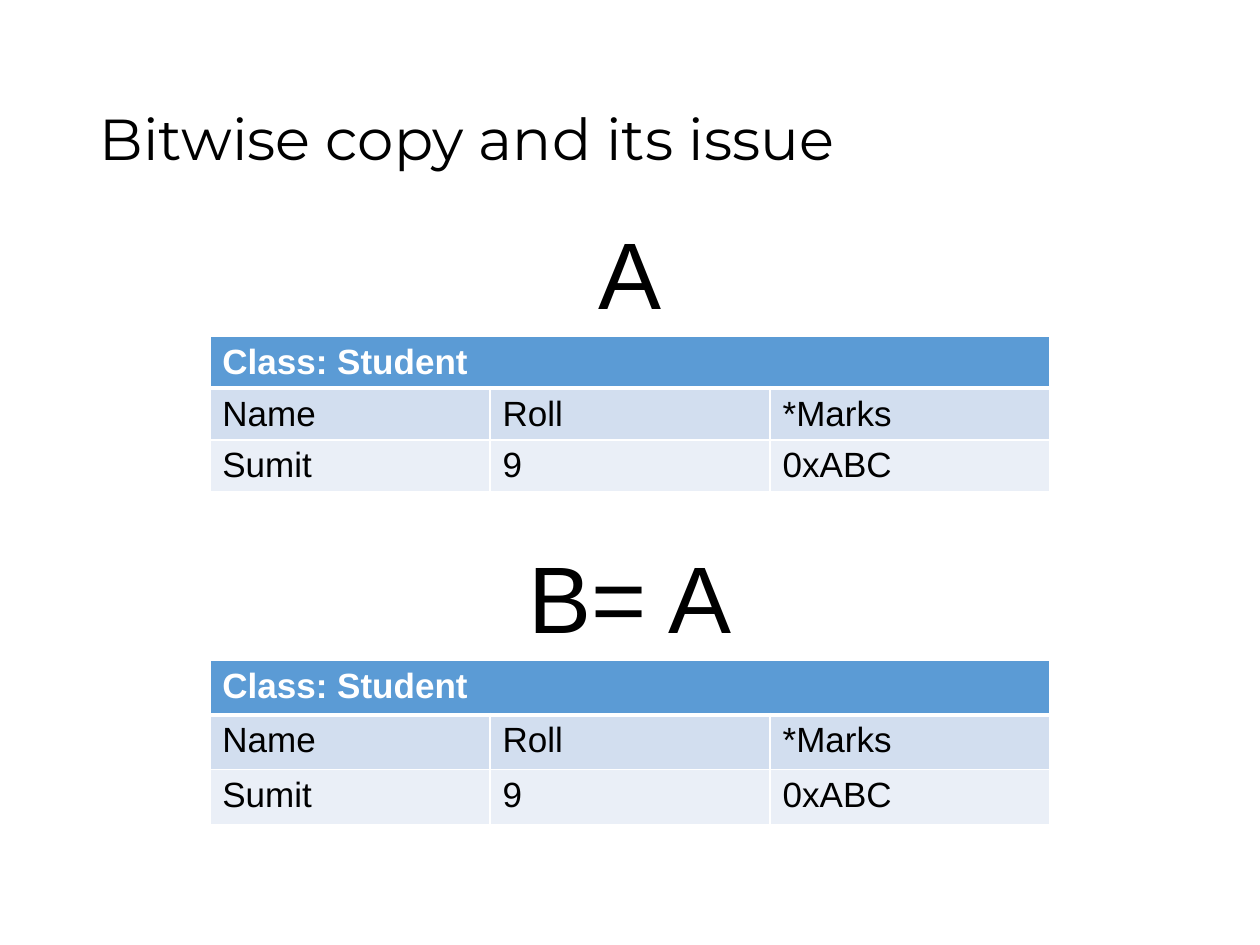
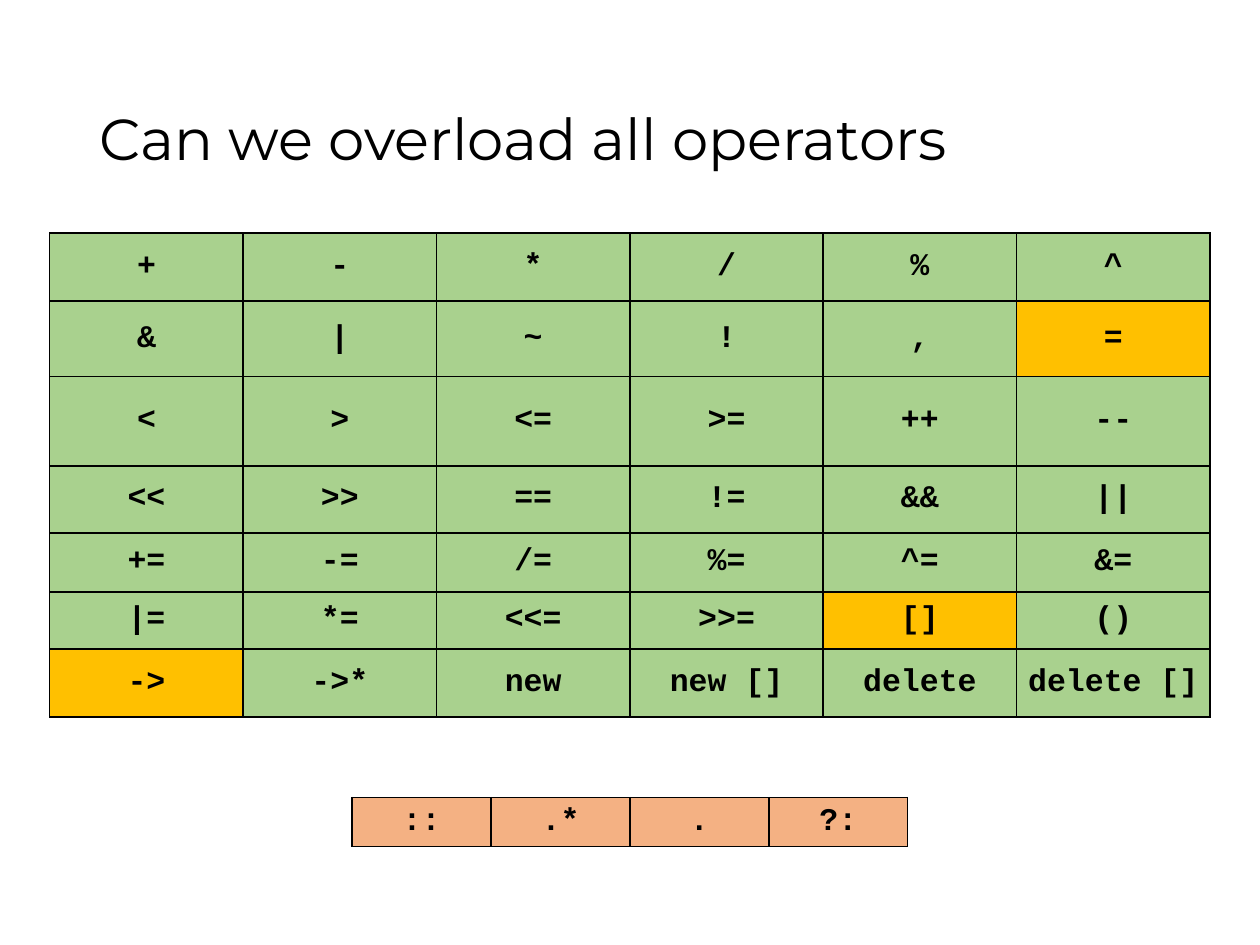
from dataclasses import dataclass

from lxml.etree import SubElement
from pptx import Presentation
from pptx.dml.color import RGBColor
from pptx.enum.text import MSO_ANCHOR, MSO_AUTO_SIZE, PP_ALIGN
from pptx.oxml.ns import qn
from pptx.util import Inches, Pt


@dataclass(frozen=True)
class Theme:
    ink: str = "000000"
    paper: str = "FFFFFF"
    header: str = "5B9BD5"
    field: str = "D2DEEF"
    record: str = "EAEFF7"
    overloadable: str = "A9D18E"
    member_only: str = "FFC000"
    forbidden: str = "F4B183"
    heading_font: str = "Montserrat"
    body_font: str = "Arial"
    code_font: str = "Courier New"
    heading_size: int = 33
    label_size: int = 54
    student_size: int = 20
    code_size: int = 18


THEME = Theme()
WIDTH, HEIGHT = Inches(10), Inches(7.5)
GRID_COLUMNS, GRID_ROWS = 100, 75

STUDENT = [["Class: Student", "", ""], ["Name", "Roll", "*Marks"], ["Sumit", "9", "0xABC"]]
OPERATORS = [
    ["+", "-", "*", "/", "%", "^"],
    ["&", "|", "~", "!", ",", "="],
    ["<", ">", "<=", ">=", "++", "--"],
    ["<<", ">>", "==", "!=", "&&", "||"],
    ["+=", "-=", "/=", "%=", "^=", "&="],
    ["|=", "*=", "<<=", ">>=", "[]", "()"],
    ["->", "->*", "new", "new []", "delete", "delete []"],
]
OPERATOR_HEIGHTS = [5.4, 6, 7.1, 5.3, 4.7, 4.5, 5.4]
MEMBER_ONLY = {"=", "[]", "->"}
FORBIDDEN = [["::", ".*", ".", "?:"]]


def columns(count):
    return int(WIDTH * count / GRID_COLUMNS)


def rows(count):
    return int(HEIGHT * count / GRID_ROWS)


def centred(top, width, height):
    return columns((GRID_COLUMNS - width) / 2), rows(top), columns(width), rows(height)


def write(frame, text, font, size, color=THEME.ink, bold=False, align=PP_ALIGN.LEFT):
    frame.text = text
    paragraph = frame.paragraphs[0]
    paragraph.alignment = align
    for run in paragraph.runs:
        run.font.name = font
        run.font.size = Pt(size)
        run.font.bold = bold
        run.font.color.rgb = RGBColor.from_string(color)
    return paragraph


def add_titled_slide(deck, heading):
    slide = deck.slides.add_slide(deck.slide_layouts[5])
    title = slide.shapes.title
    title.left, title.top, title.width, title.height = centred(4, 86.2, 14.5)
    frame = title.text_frame
    frame.auto_size = MSO_AUTO_SIZE.NONE
    frame.vertical_anchor = MSO_ANCHOR.MIDDLE
    write(frame, heading, THEME.heading_font, THEME.heading_size).line_spacing = 0.9
    return slide


def add_label(slide, text, top, width):
    frame = slide.shapes.add_textbox(*centred(top, width, 10.1)).text_frame
    frame.word_wrap = False
    frame.auto_size = MSO_AUTO_SIZE.SHAPE_TO_FIT_TEXT
    write(frame, text, THEME.body_font, THEME.label_size, align=PP_ALIGN.CENTER)


def add_grid(slide, texts, top, width, heights):
    column_count = len(texts[0])
    place = centred(top, width, sum(heights))
    grid = slide.shapes.add_table(len(texts), column_count, *place).table
    grid.first_row = grid.horz_banding = False
    for column in grid.columns:
        column.width = columns(width / column_count)
    for row, height in zip(grid.rows, heights):
        row.height = rows(height)
    return grid


def paint_cell(cell, fill, border, top=1, bottom=1):
    properties = cell._tc.get_or_add_tcPr()
    for side, points in (("L", 1), ("R", 1), ("T", top), ("B", bottom)):
        line = SubElement(properties, qn(f"a:ln{side}"), w=str(Pt(points)))
        SubElement(SubElement(line, qn("a:solidFill")), qn("a:srgbClr"), val=border)
    cell.fill.solid()
    cell.fill.fore_color.rgb = RGBColor.from_string(fill)


def add_student(slide, top):
    grid = add_grid(slide, STUDENT, top, 66.7, [4.1] * 3)
    grid.cell(0, 0).merge(grid.cell(0, 2))
    fills = [THEME.header, THEME.field, THEME.record]
    for r, (texts, fill) in enumerate(zip(STUDENT, fills)):
        is_header = r == 0
        for c, text in enumerate(texts):
            cell = grid.cell(r, c)
            paint_cell(cell, fill, THEME.paper, top=3 if r == 1 else 1, bottom=3 if is_header else 1)
            if text:
                color = THEME.paper if is_header else THEME.ink
                write(cell.text_frame, text, THEME.body_font, THEME.student_size, color, is_header)


def add_operators(slide, operators, top, width, heights, fill):
    grid = add_grid(slide, operators, top, width, heights)
    for r, operator_row in enumerate(operators):
        for c, operator in enumerate(operator_row):
            cell = grid.cell(r, c)
            cell.margin_left = cell.margin_right = columns(0.5)
            cell.margin_top = cell.margin_bottom = rows(0.5)
            cell.vertical_anchor = MSO_ANCHOR.MIDDLE
            paint_cell(cell, THEME.member_only if operator in MEMBER_ONLY else fill, THEME.ink)
            write(cell.text_frame, operator, THEME.code_font, THEME.code_size,
                  bold=True, align=PP_ALIGN.CENTER)


def main():
    deck = Presentation()
    deck.slide_width, deck.slide_height = WIDTH, HEIGHT

    bitwise_copy = add_titled_slide(deck, "Bitwise copy and its issue")
    for label, label_width, top in (("A", 7.1, 16.6), ("B= A", 18.2, 42.3)):
        add_student(bitwise_copy, top + 10.1)
        add_label(bitwise_copy, label, top, label_width)

    overloading = add_titled_slide(deck, "Can we overload all operators")
    add_operators(overloading, OPERATORS, 18.5, 92.1, OPERATOR_HEIGHTS, THEME.overloadable)
    add_operators(overloading, FORBIDDEN, 63.3, 44.1, [3.9], THEME.forbidden)

    deck.save("out.pptx")


if __name__ == "__main__":
    main()
